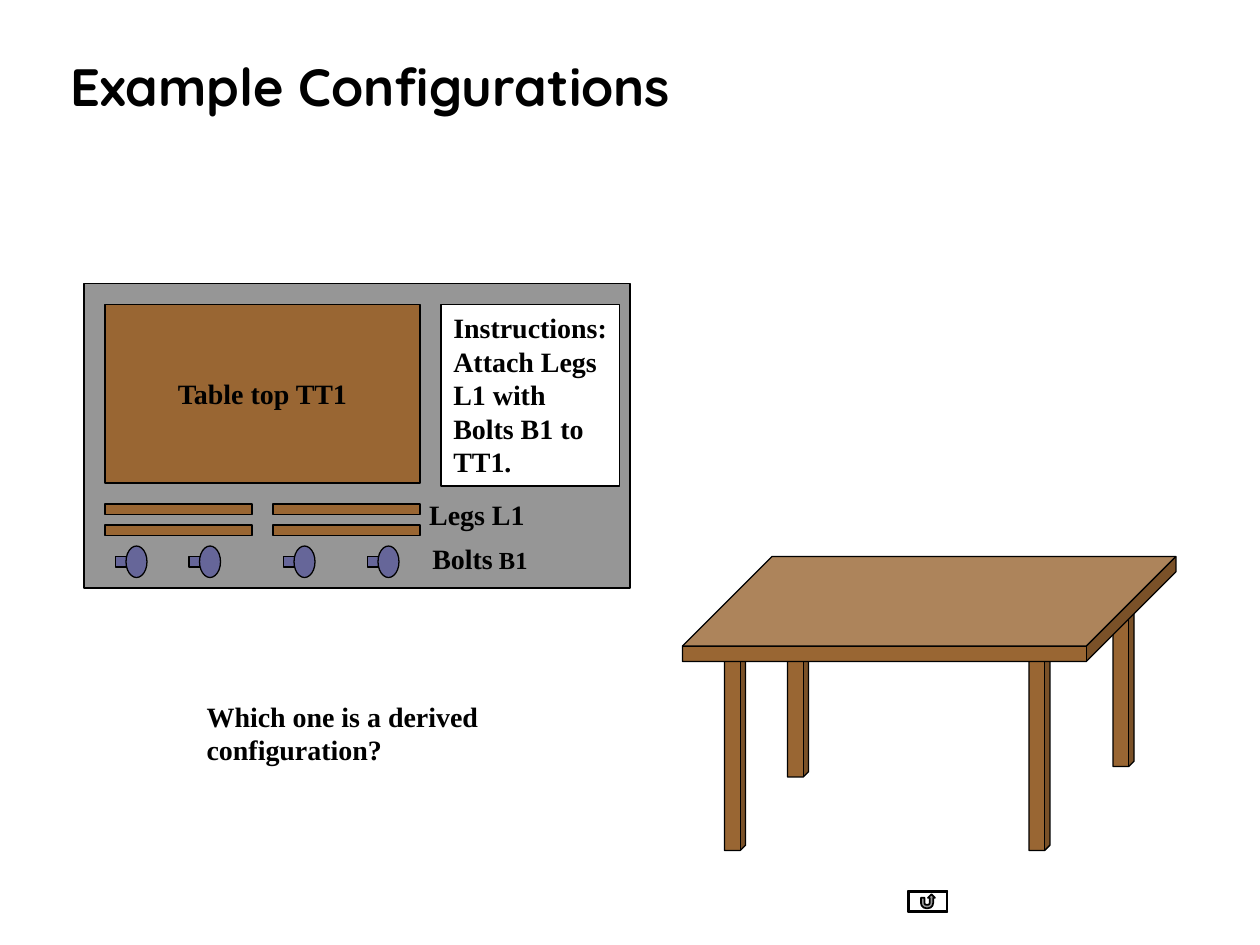
import copy
from dataclasses import dataclass

import pptx
import pptx.dml.color
import pptx.enum.shapes
import pptx.enum.text
import pptx.util

SHAPE = pptx.enum.shapes.MSO_SHAPE
ALIGN = pptx.enum.text.PP_ALIGN
ANCHOR = pptx.enum.text.MSO_ANCHOR
CELLS_PER_INCH = 12


@dataclass(frozen=True)
class Theme:
    ink: str = "000000"
    paper: str = "FFFFFF"
    carton: str = "969696"
    wood: str = "996633"
    metal: str = "666699"
    title_font: str = "Quicksand"
    label_font: str = "Times New Roman"
    title_size: int = 30
    label_size: int = 16
    small_size: int = 14
    outline: float = 0.75


THEME = Theme()


def rgb(value):
    return pptx.dml.color.RGBColor.from_string(value)


def cells(*counts):
    return [pptx.util.Inches(count / CELLS_PER_INCH) for count in counts]


def style_run(run, font_name, size):
    run.font.name = font_name
    run.font.size = pptx.util.Pt(size)
    run.font.bold = True
    run.font.color.rgb = rgb(THEME.ink)


def write_label(frame, text, align=ALIGN.LEFT, anchor=ANCHOR.TOP):
    frame.text = text
    frame.word_wrap = True
    frame.vertical_anchor = anchor
    for paragraph in frame.paragraphs:
        paragraph.alignment = align
        for run in paragraph.runs:
            style_run(run, THEME.label_font, THEME.label_size)
        for line_break in paragraph._p.findall(pptx.oxml.ns.qn("a:br")):
            line_break.append(copy.deepcopy(paragraph.runs[0]._r.rPr))


def add_part(slide, kind, place, fill, line_width=THEME.outline, depth=None):
    part = slide.shapes.add_shape(kind, *cells(*place))
    part.shadow.inherit = False
    part.fill.solid()
    part.fill.fore_color.rgb = rgb(fill)
    part.line.color.rgb = rgb(THEME.ink)
    part.line.width = pptx.util.Pt(line_width)
    if depth is not None:
        part.adjustments[0] = depth
    return part


def add_label(slide, place, text):
    label = slide.shapes.add_textbox(*cells(*place))
    write_label(label.text_frame, text)
    return label


def add_title(slide, text):
    title = slide.shapes.title
    title.left, title.top, title.width, title.height = cells(5.5, 2.9, 107, 11.3)
    title.text_frame.text = text
    title.text_frame.vertical_anchor = ANCHOR.MIDDLE
    paragraph = title.text_frame.paragraphs[0]
    paragraph.alignment = ALIGN.LEFT
    paragraph.line_spacing = 0.9
    style_run(paragraph.runs[0], THEME.title_font, THEME.title_size)


def add_bolt(slide, column):
    add_part(slide, SHAPE.RECTANGLE, (column, 53, 2, 1), THEME.metal)
    add_part(slide, SHAPE.OVAL, (column + 1, 52, 2, 3), THEME.metal)


def add_kit(slide):
    add_part(slide, SHAPE.RECTANGLE, (8, 27, 52, 29), THEME.carton)
    table_top = add_part(slide, SHAPE.RECTANGLE, (10, 29, 30, 17), THEME.wood)
    write_label(table_top.text_frame, "Table top TT1", ALIGN.CENTER, ANCHOR.MIDDLE)
    for row in (48, 50):
        for column in (10, 26):
            add_part(slide, SHAPE.RECTANGLE, (column, row, 14, 1), THEME.wood)
    for column in (11, 18, 27, 35):
        add_bolt(slide, column)
    bolts = add_label(slide, (40, 51, 13, 4.4), "Bolts")
    bolt_type = bolts.text_frame.paragraphs[0].add_run()
    bolt_type.text = " B1"
    style_run(bolt_type, THEME.label_font, THEME.small_size)
    add_label(slide, (39.7, 46.8, 13, 4.4), "Legs L1")
    instructions = add_part(slide, SHAPE.RECTANGLE, (42, 29, 17, 17.3), THEME.paper)
    write_label(instructions.text_frame,
                "Instructions:\vAttach Legs L1 with Bolts B1 to TT1.")


def add_assembled_table(slide):
    for column, row in ((69, 62), (98, 62), (106, 54), (75, 55)):
        add_part(slide, SHAPE.CUBE, (column, row, 2, 19), THEME.wood, depth=0.25)
    add_part(slide, SHAPE.CUBE, (65, 53, 47, 10), THEME.wood, depth=0.854)


def add_return_button(slide):
    add_part(slide, SHAPE.BEVEL, (86.5, 84.84, 3.75, 2), THEME.paper, 1, 0.06)
    add_part(slide, SHAPE.ACTION_BUTTON_RETURN, (86.62, 84.96, 3.51, 1.76), THEME.paper, 1)


def main():
    deck = pptx.Presentation()
    deck.slide_width, deck.slide_height = cells(120, 90)
    slide = deck.slides.add_slide(deck.slide_layouts[5])
    add_return_button(slide)
    add_title(slide, "Example Configurations")
    add_kit(slide)
    add_assembled_table(slide)
    add_label(slide, (18.5, 66, 30, 7.7), "Which one is a derived\nconfiguration?")
    deck.save("out.pptx")


if __name__ == "__main__":
    main()
